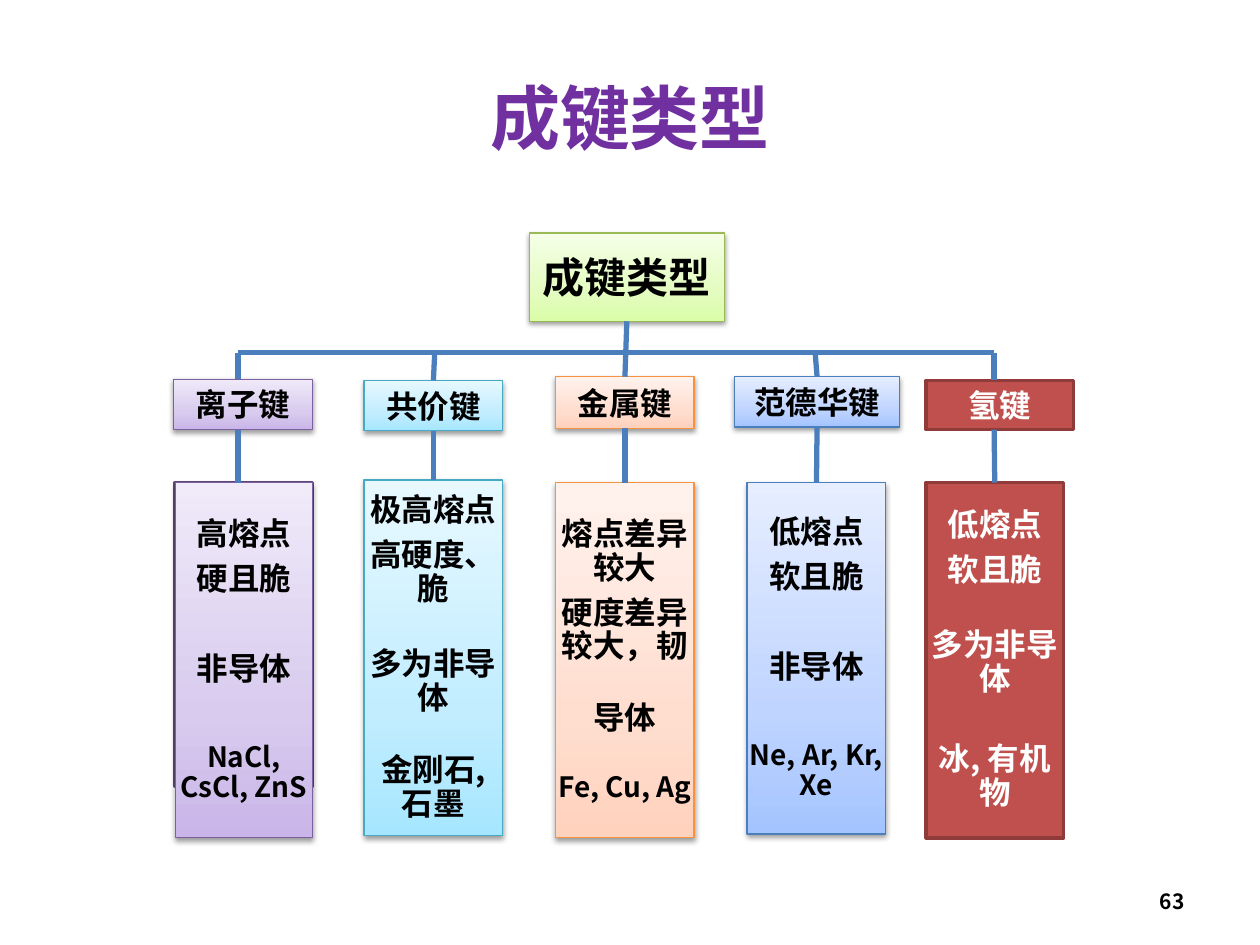
from lxml import etree
from pptx import Presentation
from pptx.dml.color import RGBColor
from pptx.enum.shapes import MSO_CONNECTOR, MSO_SHAPE
from pptx.enum.text import MSO_ANCHOR, PP_ALIGN
from pptx.oxml import parse_xml
from pptx.oxml.ns import nsdecls, qn
from pptx.util import Inches, Pt

STRAIGHT = MSO_CONNECTOR.STRAIGHT
RECTANGLE = MSO_SHAPE.RECTANGLE
MIDDLE = MSO_ANCHOR.MIDDLE
CENTER, RIGHT = PP_ALIGN.CENTER, PP_ALIGN.RIGHT
TOP_SITE, BOTTOM_SITE = 0, 2
FONT = "Noto Sans CJK SC"
COLORS = {"title": "7030A0", "black": "000000", "white": "FFFFFF",
          "connector": "4B7EBC", "backing": "8064A2", "backing_line": "5F4A78"}
THEMES = {
    "green": (["DAFDA7", "E4FCC2", "F5FFE7"], "98B955"),
    "purple": (["C9B5E8", "D8CBEE", "F0EAF9"], "7D60A0"),
    "cyan": (["A7E6FF", "C1EDFF", "E7F8FF"], "46AAC5"),
    "orange": (["FFD2BD", "FFDED0", "FFF2ED"], "F69240"),
    "blue": (["A4C4FF", "BFD4FF", "E6EEFF"], "4B7EBC"),
    "red": (["C0504D"], "8E3B39"),
}
TITLE = "成键类型"
ROOT_AREA = (4.2, 1.85, 1.55, 0.7)
BUS_Y = 2.8
BRANCHES = [
    {"name": "离子键", "theme": "purple", "axis": 1.89,
     "header": (1.38, 3.01, 1.1, 0.4), "body": (1.39, 3.83, 1.09, 2.82),
     "items": [("高熔点", 18, 0), ("硬且脆", 18, 0), ("非导体", 18, 18),
               ("NaCl, CsCl, ZnS", 16, 18)]},
    {"name": "共价键", "theme": "cyan", "axis": 3.45,
     "header": (2.89, 3.02, 1.1, 0.4), "body": (2.89, 3.81, 1.1, 2.82),
     "items": [("极高熔点", 18, 0), ("高硬度、脆", 18, 0), ("多为非导体", 18, 12),
               ("金刚石, 石墨", 18, 11)]},
    {"name": "金属键", "theme": "orange", "axis": 4.97,
     "header": (4.41, 2.99, 1.1, 0.41), "body": (4.41, 3.83, 1.1, 2.82),
     "items": [("熔点差异较大", 18, 0), ("硬度差异较大，韧", 18, 0), ("导体", 18, 10.5),
               ("Fe, Cu, Ag", 16, 10.5)]},
    {"name": "范德华键", "theme": "blue", "axis": 6.47,
     "header": (5.83, 2.99, 1.31, 0.4), "body": (5.93, 3.83, 1.1, 2.79),
     "items": [("低熔点", 18, 0), ("软且脆", 18, 0), ("非导体", 18, 18),
               ("Ne, Ar, Kr, Xe", 16, 18)]},
    {"name": "氢键", "theme": "red", "axis": 7.89,
     "header": (7.35, 3.02, 1.17, 0.39), "body": (7.35, 3.83, 1.09, 2.82),
     "items": [("低熔点", 18, 0), ("软且脆", 18, 0), ("多为非导体", 18, 12),
               ("冰, 有机物", 18, 14)]},
]


def write(para, text, size, color, align=CENTER):
    para.alignment = align
    span = para.add_run()
    span.text = text
    for key, value in {"size": Pt(size), "name": FONT, "bold": True}.items():
        setattr(span.font, key, value)
    span.font.color.rgb = RGBColor.from_string(color)
    east_asian = etree.SubElement(span.font._element, qn("a:ea"))
    east_asian.set("typeface", FONT)


def set_margins(frame, margin):
    for side in ("left", "top", "right", "bottom"):
        setattr(frame, f"margin_{side}", Inches(margin))


def add_box(page, area, fills, line, width):
    box = page.shapes.add_shape(RECTANGLE, *map(Inches, area))
    box.shadow.inherit = False
    if len(fills) == 1:
        box.fill.solid()
        box.fill.fore_color.rgb = RGBColor.from_string(fills[0])
    else:
        stops = "".join(f'<a:gs pos="{place}"><a:srgbClr val="{color}"/></a:gs>'
                        for place, color in zip((0, 35000, 100000), fills))
        gradient = parse_xml(
            f'<a:gradFill {nsdecls("a")} rotWithShape="1"><a:gsLst>{stops}</a:gsLst>'
            '<a:lin ang="16200000" scaled="0"/></a:gradFill>')
        properties = box._element.spPr
        properties.find(qn("a:prstGeom")).addnext(gradient)
        properties.find(qn("a:effectLst")).append(parse_xml(
            f'<a:outerShdw {nsdecls("a")} blurRad="{Pt(3.1)}" dist="{Pt(1.6)}" '
            'dir="5400000" rotWithShape="0"><a:srgbClr val="000000">'
            '<a:alpha val="38000"/></a:srgbClr></a:outerShdw>'))
    box.line.color.rgb = RGBColor.from_string(line)
    box.line.width = Pt(width)
    box.text_frame.word_wrap = True
    box.text_frame.vertical_anchor = MIDDLE
    return box


def add_themed_box(page, area, theme):
    fills, line = THEMES[theme]
    return add_box(page, area, fills, line, 2 if len(fills) == 1 else 0.75)


def add_label(page, area, theme, text, size, color):
    box = add_themed_box(page, area, theme)
    set_margins(box.text_frame, 0.05)
    write(box.text_frame.paragraphs[0], text, size, color)
    return box


def add_body(page, branch, color):
    box = add_themed_box(page, branch["body"], branch["theme"])
    frame = box.text_frame
    set_margins(frame, 0.01)
    for index, (text, size, gap) in enumerate(branch["items"]):
        para = frame.add_paragraph() if index else frame.paragraphs[0]
        para.line_spacing = Pt(round(size * 1.08, 1))
        if index:
            para.space_before = Pt(round(6.3 + gap * 1.43, 1))
        write(para, text, size, color)
    return box


def is_middle(box, x):
    return abs(box.left + box.width / 2 - Inches(x)) < Inches(0.03)


def add_line(page, start, end, upper=None, lower=None):
    line = page.shapes.add_connector(STRAIGHT, *map(Inches, (*start, *end)))
    line.line.color.rgb = RGBColor.from_string(COLORS["connector"])
    line.line.width = Pt(3)
    etree.SubElement(line._element.spPr, qn("a:effectLst"))
    if upper is not None and is_middle(upper, start[0]):
        line.begin_connect(upper, BOTTOM_SITE)
    if lower is not None and is_middle(lower, end[0]):
        line.end_connect(lower, TOP_SITE)


def main():
    deck = Presentation()
    deck.slide_width, deck.slide_height = Inches(10), Inches(7.5)
    page = deck.slides.add_slide(deck.slide_layouts[5])

    title = page.shapes.title
    for key, value in zip(("left", "top", "width", "height"), (0.5, 0.3, 9, 1.25)):
        setattr(title, key, Inches(value))
    title.text_frame.vertical_anchor = MIDDLE
    write(title.text_frame.paragraphs[0], TITLE, 40, COLORS["title"])

    root = add_label(page, ROOT_AREA, "green", TITLE, 24, COLORS["black"])
    add_box(page, (1.39, 3.83, 1.09, 2.41), [COLORS["backing"]],
            COLORS["backing_line"], 2)
    pairs = []
    for branch in BRANCHES:
        color = COLORS["white" if branch["theme"] == "red" else "black"]
        header = add_label(page, branch["header"], branch["theme"],
                           branch["name"], 18, color)
        pairs.append((branch, header, add_body(page, branch, color)))

    add_line(page, (BRANCHES[0]["axis"], BUS_Y), (BRANCHES[-1]["axis"], BUS_Y))
    for branch, header, body in pairs:
        x = branch["axis"]
        header_top, header_height = branch["header"][1], branch["header"][3]
        trunk = is_middle(root, x)
        top = ROOT_AREA[1] + ROOT_AREA[3] if trunk else BUS_Y
        add_line(page, (x, top), (x, header_top), root if trunk else None, header)
        add_line(page, (x, header_top + header_height), (x, branch["body"][1]),
                 header, body)

    number = page.shapes.add_textbox(*map(Inches, (7.17, 6.95, 2.33, 0.4)))
    number.text_frame.word_wrap = True
    number.text_frame.vertical_anchor = MIDDLE
    write(number.text_frame.paragraphs[0], "63", 12, COLORS["black"], RIGHT)
    deck.save("out.pptx")


if __name__ == "__main__":
    main()
